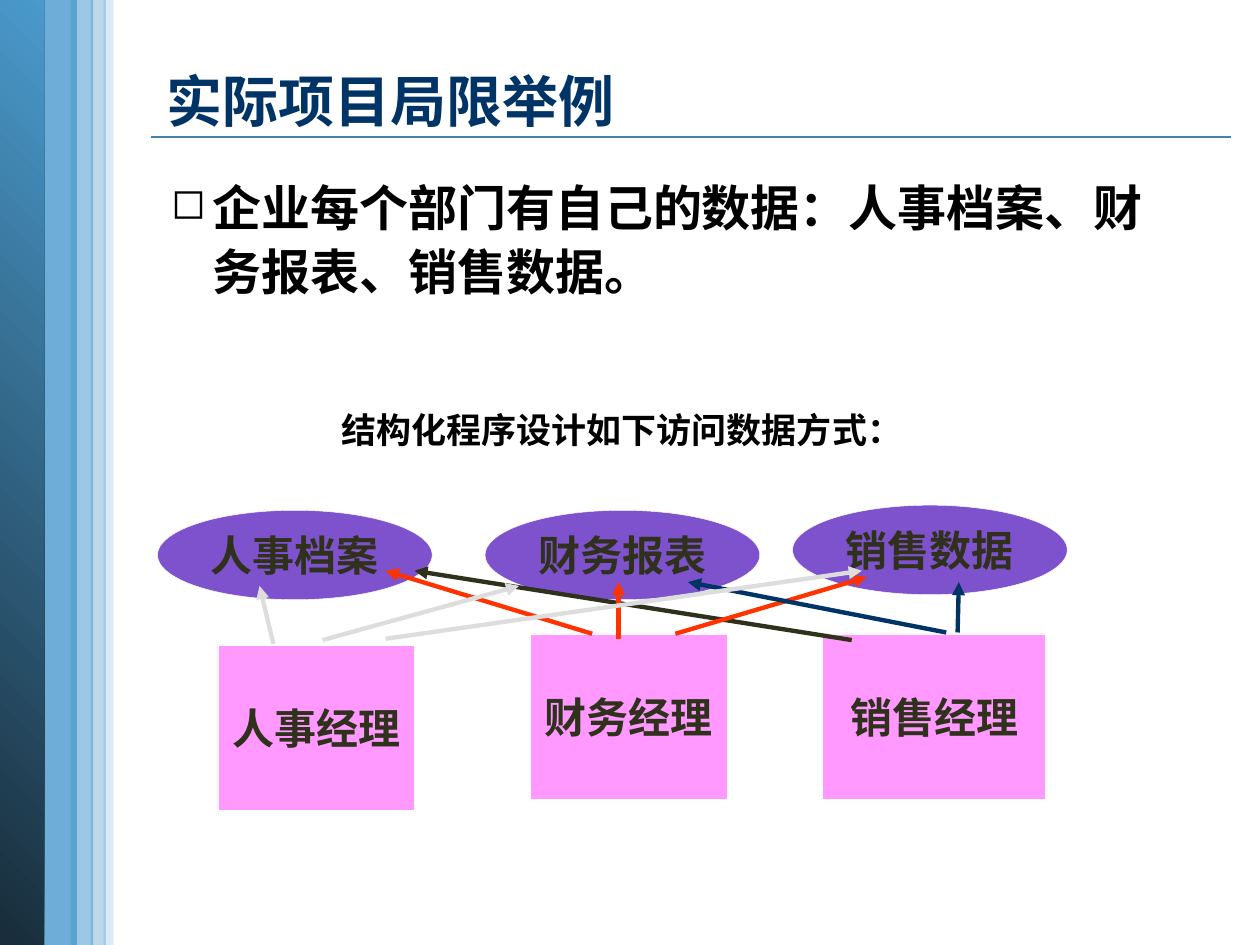
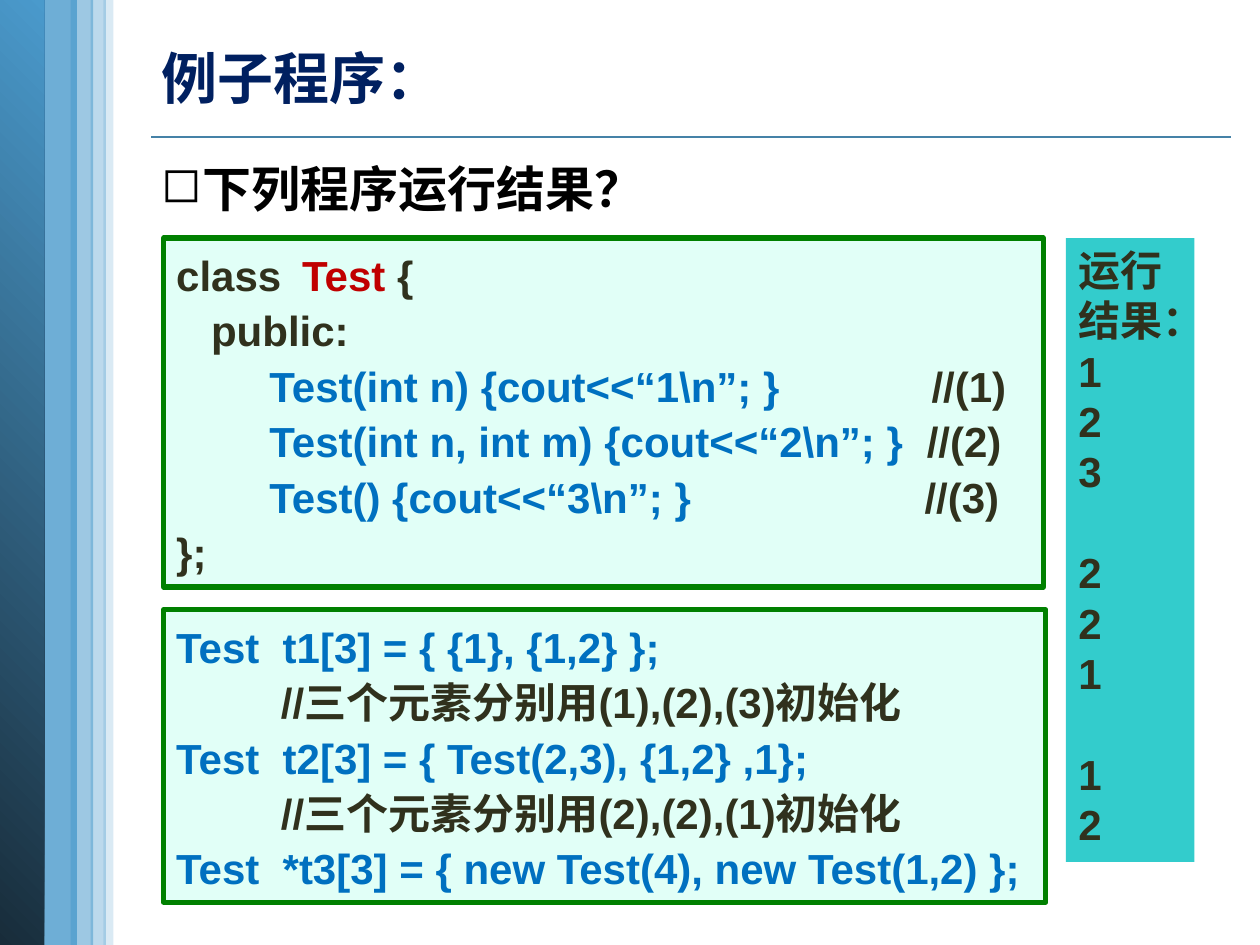
"""Build two course slides: a data access diagram and a constructor example."""
from lxml import etree
from pptx import Presentation
from pptx import util as u
from pptx.dml.color import RGBColor
from pptx.enum import shapes, text
from pptx.oxml import ns

Inches, Pt = u.Inches, u.Pt
RECTANGLE, OVAL = shapes.MSO_SHAPE.RECTANGLE, shapes.MSO_SHAPE.OVAL
CENTER, LEFT = text.PP_ALIGN.CENTER, text.PP_ALIGN.LEFT
MIDDLE, TOP = text.MSO_ANCHOR.MIDDLE, text.MSO_ANCHOR.TOP

BAND = RGBColor(0x4A, 0x9A, 0xCC)
BAND_DARK = RGBColor(0x18, 0x2C, 0x3A)
RULE = RGBColor(0x45, 0x82, 0xA7)
NAVY = RGBColor(0x00, 0x33, 0x66)
DEEP_NAVY = RGBColor(0x00, 0x20, 0x60)
BLACK = RGBColor(0x00, 0x00, 0x00)
WHITE = RGBColor(0xFF, 0xFF, 0xFF)
INK = RGBColor(0x30, 0x31, 0x1D)
PURPLE = RGBColor(0x7E, 0x52, 0xCC)
PINK = RGBColor(0xFF, 0x99, 0xFF)
ORANGE = RGBColor(0xFF, 0x33, 0x00)
GREY = RGBColor(0xDD, 0xDD, 0xDD)
TEAL = RGBColor(0x33, 0xCC, 0xCC)
MINT = RGBColor(0xE1, 0xFF, 0xF7)
GREEN = RGBColor(0x00, 0x80, 0x00)
BLUE = RGBColor(0x00, 0x70, 0xC0)
RED = RGBColor(0xC0, 0x00, 0x00)
CJK_FONT = "Noto Sans CJK SC"


def add_box(slide, place, lines, size=24, font="Arial", spacing=1.0, kind=None, fill=None,
            line=None, weight=0.25, align=LEFT, anchor=TOP, wrap=True, bullet=None):
    """Add a text box or filled shape; each line is a list of (text, colour) runs."""
    position = [Inches(value) for value in place]
    if kind is None:
        shape = slide.shapes.add_textbox(*position)
    else:
        shape = slide.shapes.add_shape(kind, *position)
        shape.shadow.inherit = False
        shape.fill.solid()
        shape.fill.fore_color.rgb = fill
        if line is None:
            shape.line.fill.background()
        else:
            shape.line.color.rgb = line
            shape.line.width = Pt(weight)
    frame = shape.text_frame
    frame.word_wrap = wrap
    frame.vertical_anchor = anchor
    for index, runs in enumerate(lines):
        paragraph = frame.add_paragraph() if index else frame.paragraphs[0]
        paragraph.alignment = align
        paragraph.line_spacing = Pt(round(size * 1.2 * spacing, 1))
        if bullet:
            properties = paragraph._p.get_or_add_pPr()
            properties.set("marL", str(Inches(0.33)))
            properties.set("indent", str(-Inches(0.33)))
            for tag, name, value in (("a:buSzPct", "val", bullet), ("a:buChar", "char", "◻")):
                etree.SubElement(properties, ns.qn(tag)).set(name, value)
        for words, color in runs:
            if words == "\v":
                paragraph.add_line_break()
                continue
            run = paragraph.add_run()
            run.text = words
            run.font.color.rgb = color
            for name, value in {"name": font, "size": Pt(size), "bold": True}.items():
                setattr(run.font, name, value)
            east_asian = etree.SubElement(run._r.get_or_add_rPr(), ns.qn("a:ea"))
            east_asian.set("typeface", CJK_FONT)
    return shape


def add_line(slide, start, end, color, weight, arrow=False):
    """Add a straight line, with an arrowhead at its end if asked."""
    points = [Inches(value) for value in (*start, *end)]
    connector = slide.shapes.add_connector(shapes.MSO_CONNECTOR.STRAIGHT, *points)
    connector.line.color.rgb = color
    connector.line.width = Pt(weight)
    if arrow:
        tail = etree.SubElement(connector.line._get_or_add_ln(), ns.qn("a:tailEnd"))
        tail.set("type", "triangle")
    etree.SubElement(connector._element.spPr, ns.qn("a:effectLst"))


presentation = Presentation()
presentation.slide_width = Inches(10)
presentation.slide_height = Inches(7.5)

bands = [(0.3, 0.31, 80), (-0.01, 0.36, None), (0.82, 0.08, 20), (0.56, 0.18, 54), (0.72, 0.12, 37)]
titles = [
    ("实际项目局限举例", NAVY, (1.22, 0.32, 8.28, 0.7), 1.3, CJK_FONT),
    ("例子程序：", DEEP_NAVY, (1.18, 0.3, 6.74, 0.64), 1.0, "Arial"),
]
slides = []
for title, color, place, spacing, font in titles:
    slide = presentation.slides.add_slide(presentation.slide_layouts[6])
    add_line(slide, (1.2, 1.09), (9.77, 1.09), RULE, 1)
    for left, width, opacity in bands:
        band = add_box(slide, (left, 0, width, 7.5), [], kind=RECTANGLE, fill=BAND)
        if opacity is None:
            band.fill.gradient()
            band.fill.gradient_angle = 45
            for stop, (shade, stop_place) in zip(band.fill.gradient_stops, ((BAND_DARK, 0), (BAND, 1))):
                stop.color.rgb = shade
                stop.position = stop_place
        else:
            fill_color = band._element.spPr.find(".//" + ns.qn("a:srgbClr"))
            etree.SubElement(fill_color, ns.qn("a:alpha")).set("val", str(opacity * 1000))
    add_box(slide, place, [[(title, color)]], size=32, font=font, spacing=spacing)
    slides.append(slide)
access_slide, code_slide = slides

departments = [("企业每个部门有自己的数据：人事档案、财", BLACK), ("\v", BLACK), ("务报表、销售数据。", BLACK)]
add_box(access_slide, (1.26, 1.31, 8.3, 1.14), [departments], size=28, spacing=1.1, bullet="86000")
add_box(access_slide, (2.61, 3.16, 5.62, 0.44), [[("结构化程序设计如下访问数据方式：", BLACK)]],
        size=20, spacing=1.1)

node_format = {"font": "Times New Roman", "line": WHITE, "align": CENTER, "anchor": MIDDLE}
for label, left, top in (("人事档案", 1.25, 4.05), ("财务报表", 3.85, 4.05), ("销售数据", 6.29, 4.01)):
    add_box(access_slide, (left, top, 2.18, 0.71), [[(label, INK)]],
            kind=OVAL, fill=PURPLE, wrap=False, **node_format)
managers = [("人事经理", 1.73, 5.12, 1.56), ("财务经理", 4.21, 5.03, 1.56), ("销售经理", 6.53, 5.03, 1.77)]
for label, left, top, width in managers:
    add_box(access_slide, (left, top, width, 1.31), [[(label, INK)]],
            kind=RECTANGLE, fill=PINK, **node_format)

accesses = [
    (INK, (6.76, 5.08), (3.29, 4.53)),
    (ORANGE, (4.91, 5.07), (4.91, 4.62)),
    (ORANGE, (5.36, 5.03), (6.88, 4.58)),
    (ORANGE, (4.7, 5.03), (3.06, 4.53)),
    (NAVY, (7.51, 5.02), (5.46, 4.62)),
    (NAVY, (7.6, 5.02), (7.61, 4.62)),
    (GREY, (2.56, 5.08), (4.12, 4.65)),
    (GREY, (3.06, 5.07), (6.84, 4.53)),
    (GREY, (2.17, 5.11), (2.06, 4.65)),
]
for color, start, end in accesses:
    add_line(access_slide, start, end, color, 2.5, arrow=True)

results = [[(line, INK)] for line in ("运行结果：", "1", "2", "3", "2", "2", "1", "1", "2")]
result_box = add_box(code_slide, (8.46, 1.89, 1.02, 4.95), results, kind=RECTANGLE, fill=TEAL)
for group_start in (4, 7):
    result_box.text_frame.paragraphs[group_start].space_before = Pt(28.8)

class_code = [
    [("class\t", INK), ("Test", RED), (" {", INK)],
    [("   public:", INK)],
    [("        Test(int n) {cout<<“1\\n”; }             ", BLUE), ("//(1)", INK)],
    [("        Test(int n, int m) {cout<<“2\\n”; }  ", BLUE), ("//(2)", INK)],
    [("        Test() {cout<<“3\\n”; }                    ", BLUE), ("//(3)", INK)],
    [("};", INK)],
]
array_code = [
    [("Test  t1[3] = { {1}, {1,2} };", BLUE)],
    [("         //三个元素分别用(1),(2),(3)初始化", INK)],
    [("Test  t2[3] = { Test(2,3), {1,2} ,1};", BLUE)],
    [("         //三个元素分别用(2),(2),(1)初始化", INK)],
    [("Test  *t3[3] = { new Test(4), new Test(1,2) };", BLUE)],
]
for place, code in (((1.3, 1.89, 6.98, 2.77), class_code), ((1.3, 4.84, 7, 2.32), array_code)):
    add_box(code_slide, place, code, spacing=1.1, kind=RECTANGLE, fill=MINT, line=GREEN, weight=3)
add_box(code_slide, (1.18, 1.16, 8.41, 0.57), [[("下列程序运行结果？", BLACK)]],
        size=28, spacing=1.1, bullet="100000")

presentation.save("out.pptx")
